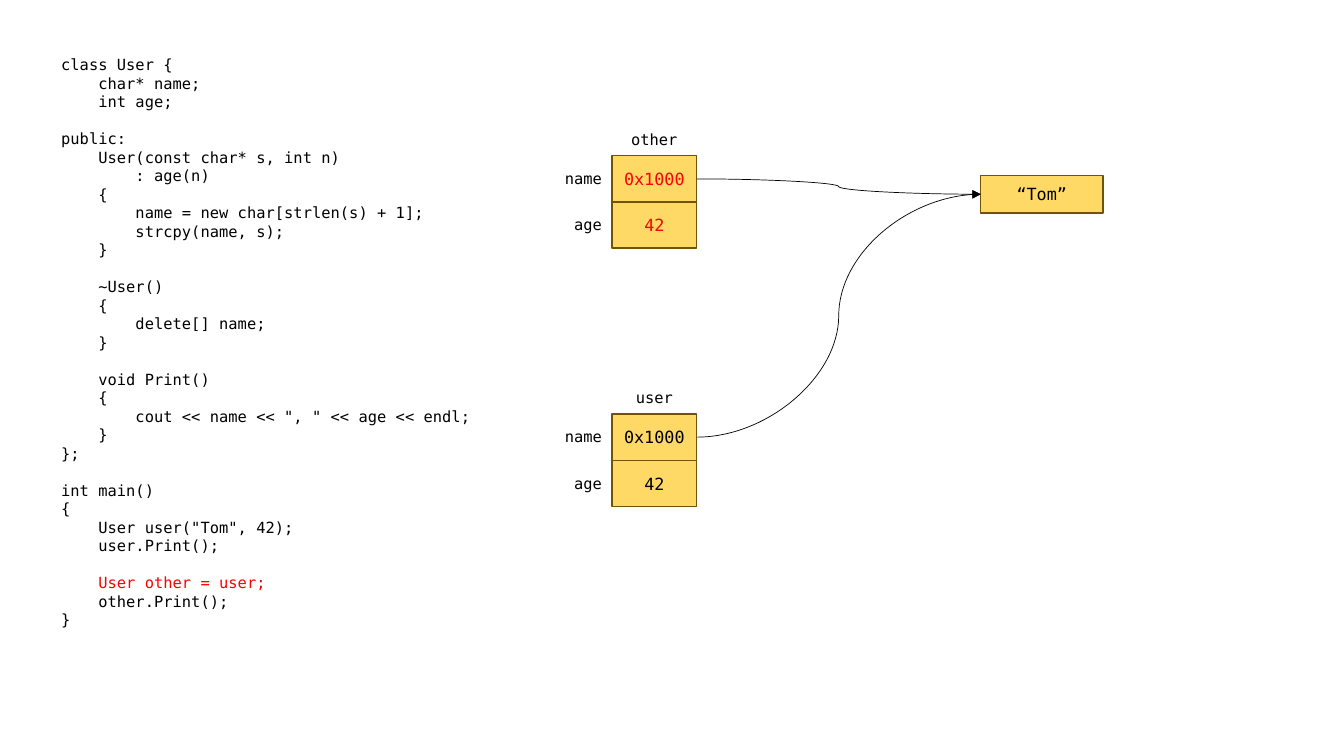
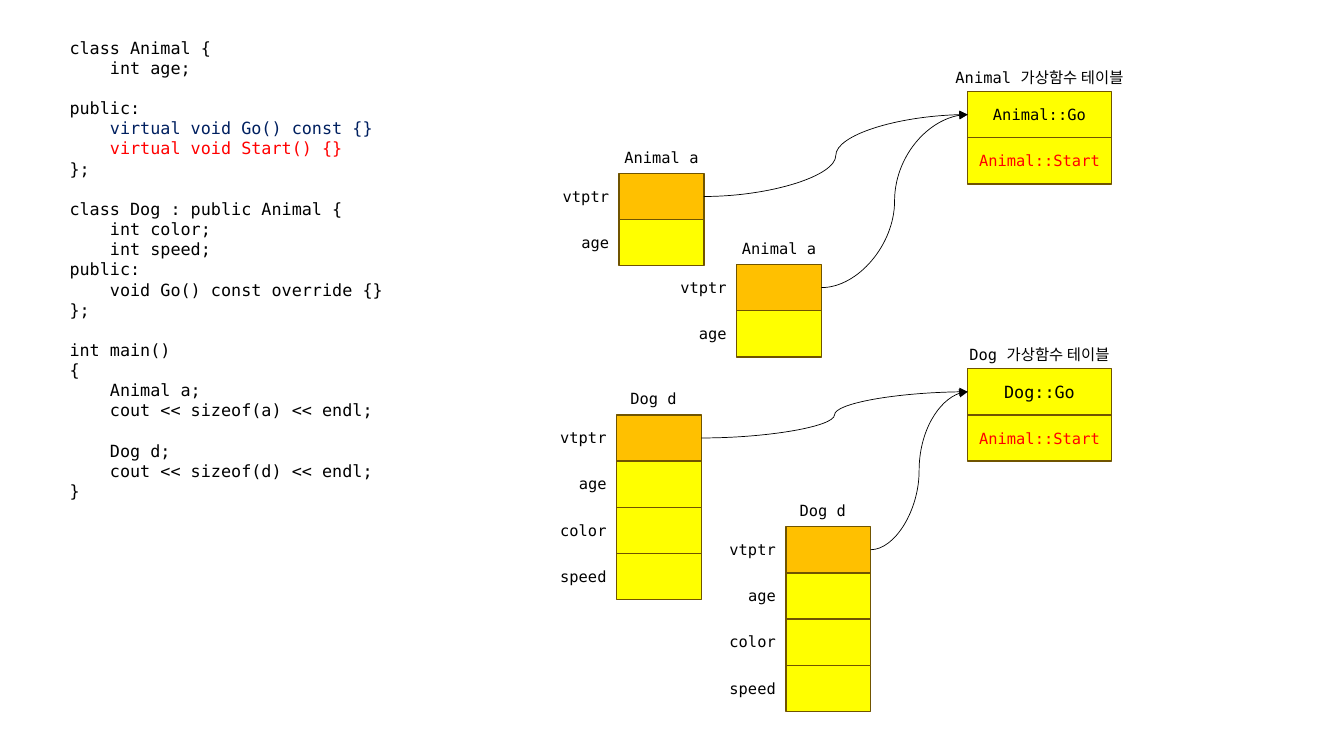
"""Draw two slides on object memory: a shallow copy and virtual function tables."""
from lxml import etree
from pptx import Presentation
from pptx.dml.color import RGBColor
from pptx.enum.dml import MSO_LINE
from pptx.enum.shapes import MSO_CONNECTOR, MSO_SHAPE
from pptx.enum.text import MSO_ANCHOR, PP_ALIGN
from pptx.oxml.ns import qn
from pptx.util import Inches, Pt

RECTANGLE = MSO_SHAPE.RECTANGLE
CURVE = MSO_CONNECTOR.CURVE
SOLID = MSO_LINE.SOLID
LEFT, CENTER, RIGHT = PP_ALIGN.LEFT, PP_ALIGN.CENTER, PP_ALIGN.RIGHT
TOP, MIDDLE = MSO_ANCHOR.TOP, MSO_ANCHOR.MIDDLE
LEFT_SIDE, RIGHT_SIDE = 1, 3
BLANK_LAYOUT = 6

FONT = "DejaVu Sans Mono"
BLACK, RED, NAVY = "000000", "FF0000", "002060"
GOLD, YELLOW, ORANGE, BROWN = "FFD966", "FFFF00", "FFC000", "705400"

USER_CODE = """class User {
    char* name;
    int age;

public:
    User(const char* s, int n)
        : age(n)
    {
        name = new char[strlen(s) + 1];
        strcpy(name, s);
    }

    ~User()
    {
        delete[] name;
    }

    void Print()
    {
        cout << name << ", " << age << endl;
    }
};

int main()
{
    User user("Tom", 42);
    user.Print();

    User other = user;
    other.Print();
}"""

ANIMAL_CODE = """class Animal {
    int age;

public:
    virtual void Go() const {}
    virtual void Start() {}
};

class Dog : public Animal {
    int color;
    int speed;
public:
    void Go() const override {}
};

int main()
{
    Animal a;
    cout << sizeof(a) << endl;

    Dog d;
    cout << sizeof(d) << endl;
}"""


def paint(color):
    return RGBColor.from_string(color)


def write(box, text, size=11, color=BLACK, align=LEFT, anchor=TOP,
          pitch=None, marked=None):
    frame = box.text_frame
    frame.word_wrap = True
    frame.vertical_anchor = anchor
    para, gap = frame.paragraphs[0], 0
    for number, line in enumerate(text.split("\n")):
        if not line:
            gap += size * pitch
            continue
        if number:
            para = frame.add_paragraph()
        para.alignment = align
        if pitch:
            para.line_spacing = Pt(size * pitch)
            para.space_before = Pt(gap)
        gap = 0
        span = para.add_run()
        span.text = line
        span.font.name = FONT
        span.font.size = Pt(size)
        span.font.color.rgb = paint((marked or {}).get(line.strip(), color))


class Deck:
    COLUMNS, ROWS = 160, 90
    CELL_WIDTH, CELL_HEIGHT = 10.1, 5.5
    LABEL_WIDTH, LABEL_HEIGHT = 11.5, 3.5
    CAPTION_WIDTH = 24.2

    def __init__(self):
        self.file = Presentation()
        self.file.slide_width = Inches(13.33)
        self.file.slide_height = Inches(7.5)
        self.page = None

    def add_page(self):
        layout = self.file.slide_layouts[BLANK_LAYOUT]
        self.page = self.file.slides.add_slide(layout)

    def place(self, column, row, width, height):
        across = self.file.slide_width / self.COLUMNS
        down = self.file.slide_height / self.ROWS
        return (round(column * across), round(row * down),
                round(width * across), round(height * down))

    def text(self, column, row, width, height, text, **style):
        box = self.page.shapes.add_textbox(*self.place(column, row, width, height))
        write(box, text, **style)

    def code(self, column, row, width, height, text, **style):
        self.text(column, row, width, height, text, pitch=1.2, **style)

    def cell(self, column, row, width, height, text="", fill=GOLD, **style):
        box = self.page.shapes.add_shape(
            RECTANGLE, *self.place(column, row, width, height))
        box.shadow.inherit = False
        box.fill.solid()
        box.fill.fore_color.rgb = paint(fill)
        box.line.color.rgb = paint(BROWN)
        box.line.width = Pt(1)
        if text:
            write(box, text, align=CENTER, anchor=MIDDLE, **style)
        return box

    def record(self, column, row, caption, fields, width=CELL_WIDTH,
               rise=3.65, shift=0):
        """Stack labelled cells under a caption and return the first cell."""
        middle = column + width / 2 + shift
        self.text(middle - self.CAPTION_WIDTH / 2, row - rise,
                  self.CAPTION_WIDTH, self.LABEL_HEIGHT, caption, align=CENTER)
        cells = []
        for number, (label, style) in enumerate(fields):
            top = row + number * self.CELL_HEIGHT
            cells.append(self.cell(column, top, width, self.CELL_HEIGHT, **style))
            if label:
                inset = (self.CELL_HEIGHT - self.LABEL_HEIGHT) / 2
                self.text(column - self.LABEL_WIDTH, top + inset,
                          self.LABEL_WIDTH, self.LABEL_HEIGHT, label, align=RIGHT)
        return cells[0]

    def pointer(self, source, target):
        arrow = self.page.shapes.add_connector(
            CURVE, source.left + source.width, source.top + source.height // 2,
            target.left, target.top + target.height // 2)
        arrow.begin_connect(source, RIGHT_SIDE)
        arrow.end_connect(target, LEFT_SIDE)
        arrow.line.color.rgb = paint(BLACK)
        arrow.line.width = Pt(0.5)
        arrow.line.dash_style = SOLID
        outline = arrow.line._get_or_add_ln()
        etree.SubElement(outline, qn("a:tailEnd"), type="triangle")
        etree.SubElement(arrow._element.spPr, qn("a:effectLst"))


def draw_shallow_copy(deck):
    deck.add_page()
    deck.code(6.1, 6, 57.6, 70, USER_CODE, marked={"User other = user;": RED})
    name = deck.cell(116.75, 20.9, 14.55, 4.45, "“Tom”", size=12)
    for caption, row, color in (("user", 49.3, BLACK), ("other", 18.55, RED)):
        fields = [(label, {"text": value, "size": 12, "color": color})
                  for label, value in (("name", "0x1000"), ("age", "42"))]
        deck.pointer(deck.record(72.85, row, caption, fields), name)


def draw_virtual_tables(deck):
    deck.add_page()
    deck.code(7.1, 3.85, 48.2, 57, ANIMAL_CODE, size=12,
              marked={"virtual void Go() const {}": NAVY,
                      "virtual void Start() {}": RED})
    tables = {}
    for kind, row, size in (("Animal", 10.9, 11), ("Dog", 43.9, 12)):
        entries = [
            ("", {"text": f"{kind}::Go", "fill": YELLOW, "size": size}),
            ("", {"text": "Animal::Start", "fill": YELLOW, "color": RED}),
        ]
        tables[kind] = deck.record(115.2, row, f"{kind} 가상함수 테이블",
                                   entries, width=17.1, rise=3.4)
    members = {"Animal": ["age"], "Dog": ["age", "color", "speed"]}
    objects = (
        ("Animal", "a", 73.7, 20.65, 0),
        ("Animal", "a", 87.7, 31.5, 0),
        ("Dog", "d", 73.4, 49.4, -0.65),
        ("Dog", "d", 93.55, 62.7, -0.65),
    )
    for kind, name, column, row, shift in objects:
        fields = [("vtptr", {"fill": ORANGE})]
        fields += [(member, {"fill": YELLOW}) for member in members[kind]]
        first = deck.record(column, row, f"{kind} {name}", fields, shift=shift)
        deck.pointer(first, tables[kind])


def main():
    deck = Deck()
    draw_shallow_copy(deck)
    draw_virtual_tables(deck)
    deck.file.save("out.pptx")


if __name__ == "__main__":
    main()
